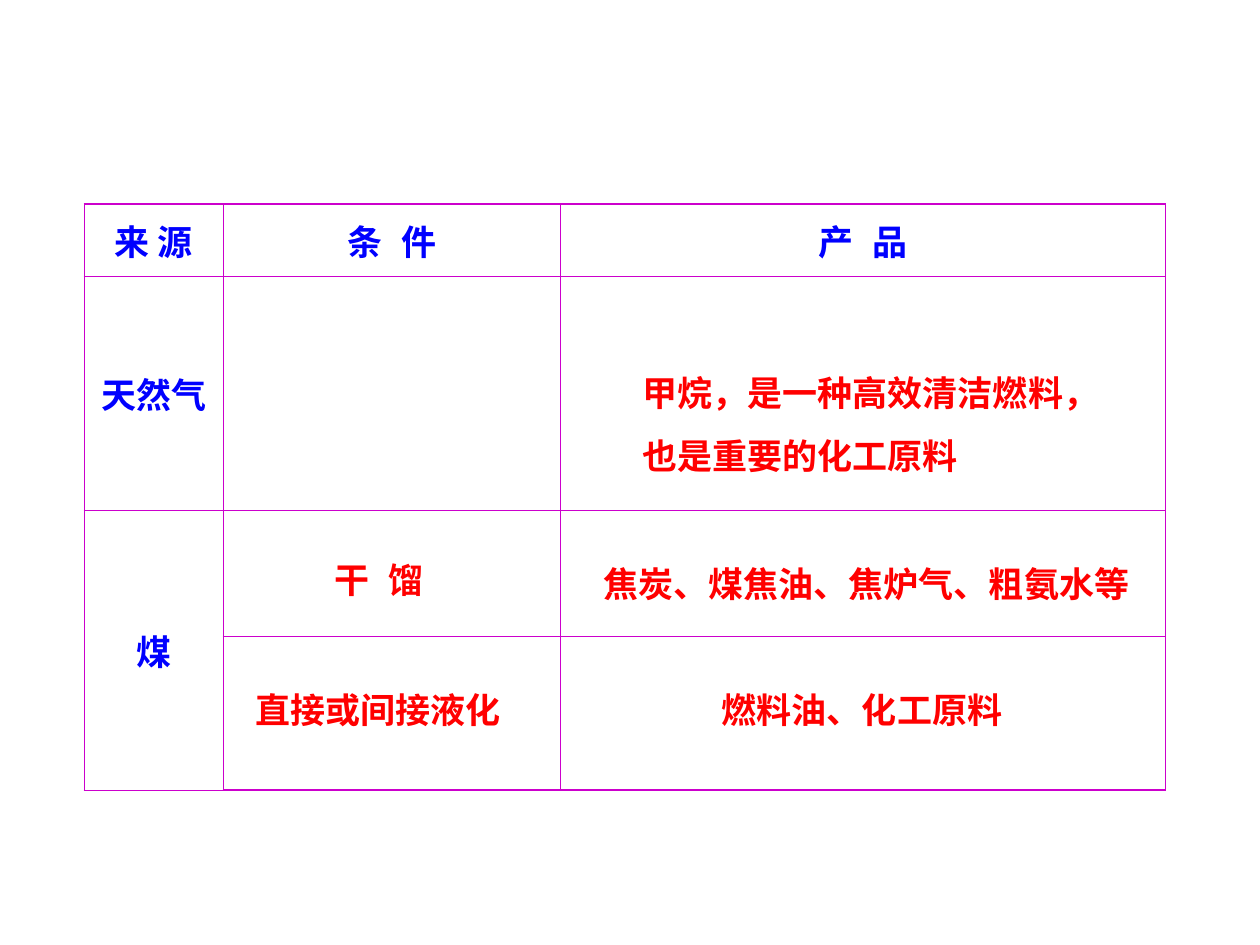
from pptx import Presentation
from pptx.dml.color import RGBColor
from pptx.enum import text
from pptx.oxml import parse_xml
from pptx.oxml.ns import nsdecls, qn
from pptx.util import Inches, Pt

COLORS = {"border": "CC00CC", "heading": "0000FF", "answer": "FF0000"}
CJK = "Noto Sans CJK SC"
OUTER, INNER = 1.08, 0.45  # border widths in points

COLUMNS = [1.1, 2.68, 4.8]
ROWS = [0.57, 1.86, 1, 1.22]

# (row, column): wording, font, extra letter spacing in points
HEADINGS = {
    (0, 0): ("来 源", "Arial", 0),
    (0, 1): ("条 件", "Arial", 3),
    (0, 2): ("产 品", "Arial", 3),
    (1, 0): ("天然气", "Arial", 0),
    (2, 0): ("煤", CJK, 0),
}

# box (left, top, width, height), wording, extra letter spacing in points
ANSWERS = [
    ((5, 2.73, 4.09, 1.1), "甲烷，是一种高效清洁燃料，也是重要的化工原料", 0),
    ((2.56, 4.22, 1.73, 0.6), "干 馏", 3),
    ((4.69, 4.25, 5.28, 0.6), "焦炭、煤焦油、焦炉气、粗氨水等", 0),
    ((1.93, 5.25, 2.91, 0.6), "直接或间接液化", 0),
    ((5.63, 5.25, 2.99, 0.6), "燃料油、化工原料", 0),
]


def format_run(run, color, font, spacing):
    run.font.size = Pt(20)
    run.font.bold = True
    run.font.color.rgb = RGBColor.from_string(COLORS[color])
    run.font.name = font
    properties = run.font._element
    properties.append(parse_xml(f'<a:ea {nsdecls("a")} typeface="{CJK}"/>'))
    if spacing:
        properties.set("spc", str(spacing * 100))


def set_borders(cell, widths):
    """Widths are given in the order left, right, top, bottom."""
    properties = cell._tc.get_or_add_tcPr()
    for index, (side, width) in enumerate(zip("LRTB", widths)):
        properties.insert(index, parse_xml(
            f'<a:ln{side} {nsdecls("a")} w="{Pt(width)}"><a:solidFill>'
            f'<a:srgbClr val="{COLORS["border"]}"/></a:solidFill></a:ln{side}>'))


def add_source_table(slide, left, top):
    frame = slide.shapes.add_table(
        len(ROWS), len(COLUMNS), Inches(left), Inches(top),
        Inches(sum(COLUMNS)), Inches(sum(ROWS)))
    table = frame.table
    table.first_row = table.horz_banding = False
    for column, width in zip(table.columns, COLUMNS):
        column.width = Inches(width)
    for row, height in zip(table.rows, ROWS):
        row.height = Inches(height)

    # Clear cells with a heavier outer frame
    last_row, last_column = len(ROWS) - 1, len(COLUMNS) - 1
    for r in range(len(ROWS)):
        for c in range(len(COLUMNS)):
            cell = table.cell(r, c)
            cell.fill.background()
            at_edge = (c == 0, c == last_column, r == 0, r == last_row)
            set_borders(cell, [OUTER if edge else INNER for edge in at_edge])
    table.cell(2, 0).merge(table.cell(3, 0))

    # Column and row headings
    for (r, c), (wording, font, spacing) in HEADINGS.items():
        cell = table.cell(r, c)
        cell.vertical_anchor = text.MSO_ANCHOR.MIDDLE
        paragraph = cell.text_frame.paragraphs[0]
        paragraph.text = wording
        paragraph.alignment = text.PP_ALIGN.CENTER
        format_run(paragraph.runs[0], "heading", font, spacing)


def add_answer(slide, box, wording, spacing):
    answer = slide.shapes.add_textbox(*map(Inches, box))
    frame = answer.text_frame
    frame.word_wrap = True
    frame.auto_size = text.MSO_AUTO_SIZE.SHAPE_TO_FIT_TEXT
    frame.text = wording
    paragraph = frame.paragraphs[0]
    paragraph.line_spacing = 1.5
    format_run(paragraph.runs[0], "answer", CJK, spacing)


def main():
    presentation = Presentation()
    presentation.slide_width, presentation.slide_height = Inches(10), Inches(7.5)
    slide = presentation.slides.add_slide(presentation.slide_layouts[6])
    add_source_table(slide, 0.67, 1.62)
    for box, wording, spacing in ANSWERS:
        add_answer(slide, box, wording, spacing)
    presentation.save("out.pptx")


if __name__ == "__main__":
    main()
